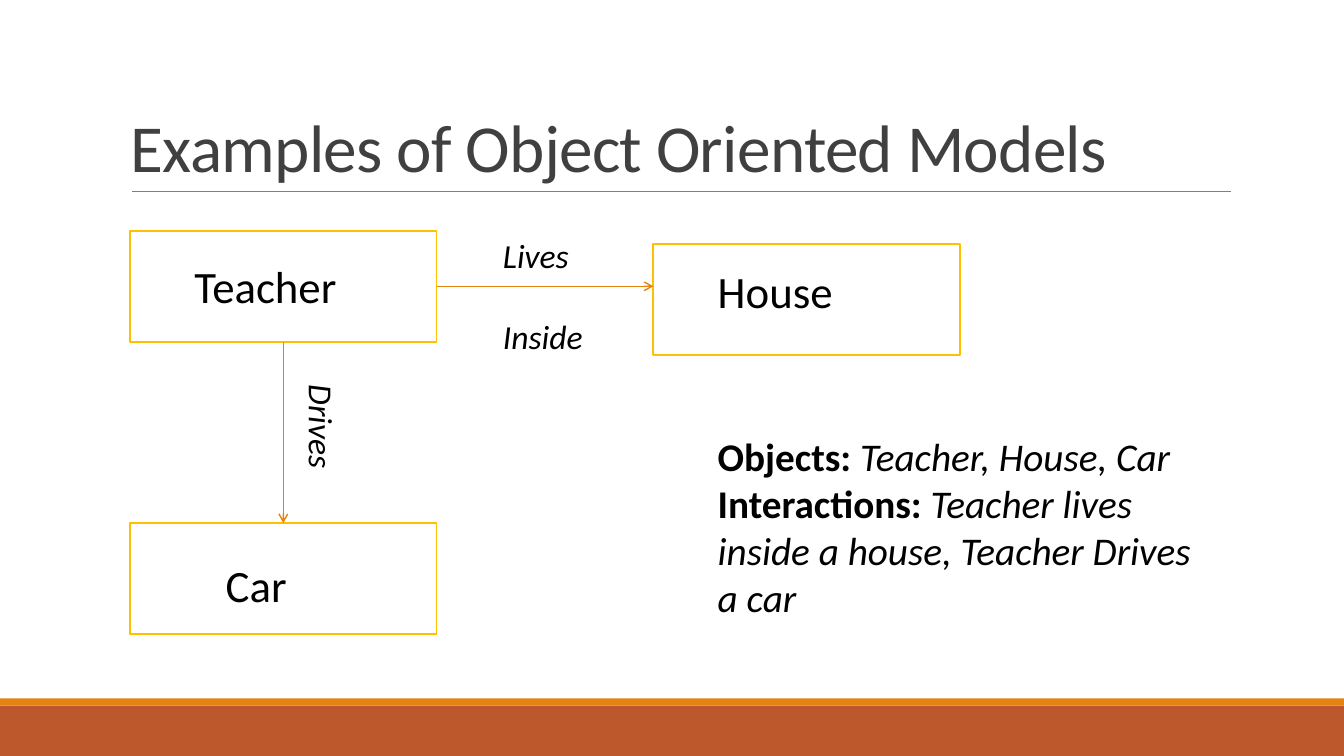
from pptx import Presentation
from pptx.dml.color import RGBColor
from pptx.enum.shapes import MSO_CONNECTOR, MSO_SHAPE
from pptx.enum.text import MSO_ANCHOR, MSO_AUTO_SIZE
from pptx.oxml.ns import qn
from pptx.util import Inches, Pt
from lxml import etree

RECT = MSO_SHAPE.RECTANGLE
STRAIGHT = MSO_CONNECTOR.STRAIGHT
TOP, BOTTOM, RIGHT = 0, 2, 3
COLORS = {"rust": "BD582C", "orange": "E48312", "gold": "FFC000",
          "rule": "808080", "title": "404040", "text": "000000"}
rgb = {name: RGBColor.from_string(value) for name, value in COLORS.items()}

prs = Presentation()
prs.slide_width, prs.slide_height = Inches(13.33), Inches(7.5)
s = prs.slides.add_slide(prs.slide_layouts[6])


def add_text(x, y, w, h, paragraphs, size, italic=False, wrap=False, color="text"):
    tb = s.shapes.add_textbox(Inches(x), Inches(y), Inches(w), Inches(h))
    tf = tb.text_frame
    tf.word_wrap = wrap
    tf.auto_size = MSO_AUTO_SIZE.SHAPE_TO_FIT_TEXT
    for i, text in enumerate(paragraphs):
        p = tf.paragraphs[0] if i == 0 else tf.add_paragraph()
        p.font.name, p.font.size = "Calibri", Pt(size)
        p.font.italic = italic
        p.font.color.rgb = rgb[color]
        p.add_run().text = text
    return tb


def add_line(x1, y1, x2, y2, color, width, arrow=False):
    line = s.shapes.add_connector(STRAIGHT, Inches(x1), Inches(y1), Inches(x2), Inches(y2))
    line.line.color.rgb = rgb[color]
    line.line.width = Pt(width)
    if arrow:
        etree.SubElement(line.line._get_or_add_ln(), qn("a:tailEnd"), type="arrow")
    etree.SubElement(line._element.spPr, qn("a:effectLst"))
    return line


for y, h, color in [(7, 0.5, "rust"), (6.93, 0.07, "orange")]:
    sp = s.shapes.add_shape(RECT, 0, Inches(y), prs.slide_width, Inches(h))
    sp.shadow.inherit = False
    sp.fill.solid()
    sp.fill.fore_color.rgb = rgb[color]
    sp.line.fill.background()

add_line(1.31, 1.9, 12.21, 1.9, "rule", 0.5)
title = add_text(1.2, 0.31, 11, 1.59, ["Examples of Object Oriented Models"], 48,
                 wrap=True, color="title")
tf = title.text_frame
tf.auto_size = MSO_AUTO_SIZE.NONE
tf.vertical_anchor = MSO_ANCHOR.BOTTOM
p = tf.paragraphs[0]
p.line_spacing = 0.85
p.runs[0].font._element.set("spc", "-50")

boxes = {}
for name, x, y, text_x, text_y, text_w in [
    ("Teacher", 1.29, 2.29, 1.83, 2.52, 1.62),
    ("House", 6.48, 2.42, 7.02, 2.57, 1.35),
    ("Car", 1.29, 5.19, 2.14, 5.48, 0.81),
]:
    sp = s.shapes.add_shape(RECT, Inches(x), Inches(y), Inches(3.04), Inches(1.1))
    sp.shadow.inherit = False
    sp.fill.background()
    sp.line.color.rgb = rgb["gold"]
    sp.line.width = Pt(1.25)
    boxes[name] = sp
    add_text(text_x, text_y, text_w, 0.64, [name], 32)

lives = add_line(4.33, 2.84, 6.48, 2.84, "orange", 1, arrow=True)
lives.begin_connect(boxes["Teacher"], RIGHT)
drives = add_line(2.81, 3.39, 2.81, 5.19, "orange", 1, arrow=True)
drives.begin_connect(boxes["Teacher"], BOTTOM)
drives.end_connect(boxes["Car"], TOP)

add_text(2.67, 3.99, 1.05, 0.5, ["Drives"], 24, italic=True).rotation = 90
lives_label = add_text(4.89, 2.28, 1, 1.31, ["Lives", "Inside"], 24, italic=True)
lives_label.text_frame.paragraphs[1].space_before = Pt(29)

summary = add_text(7.02, 4.24, 5.08, 1.99, ["Objects: ", "Interactions: "], 28, wrap=True)
details = ["Teacher, House, Car", "Teacher lives inside a house, Teacher Drives a car"]
for p, detail in zip(summary.text_frame.paragraphs, details):
    p.runs[0].font.bold = True
    r = p.add_run()
    r.text = detail
    r.font.italic = True

prs.save("out.pptx")
